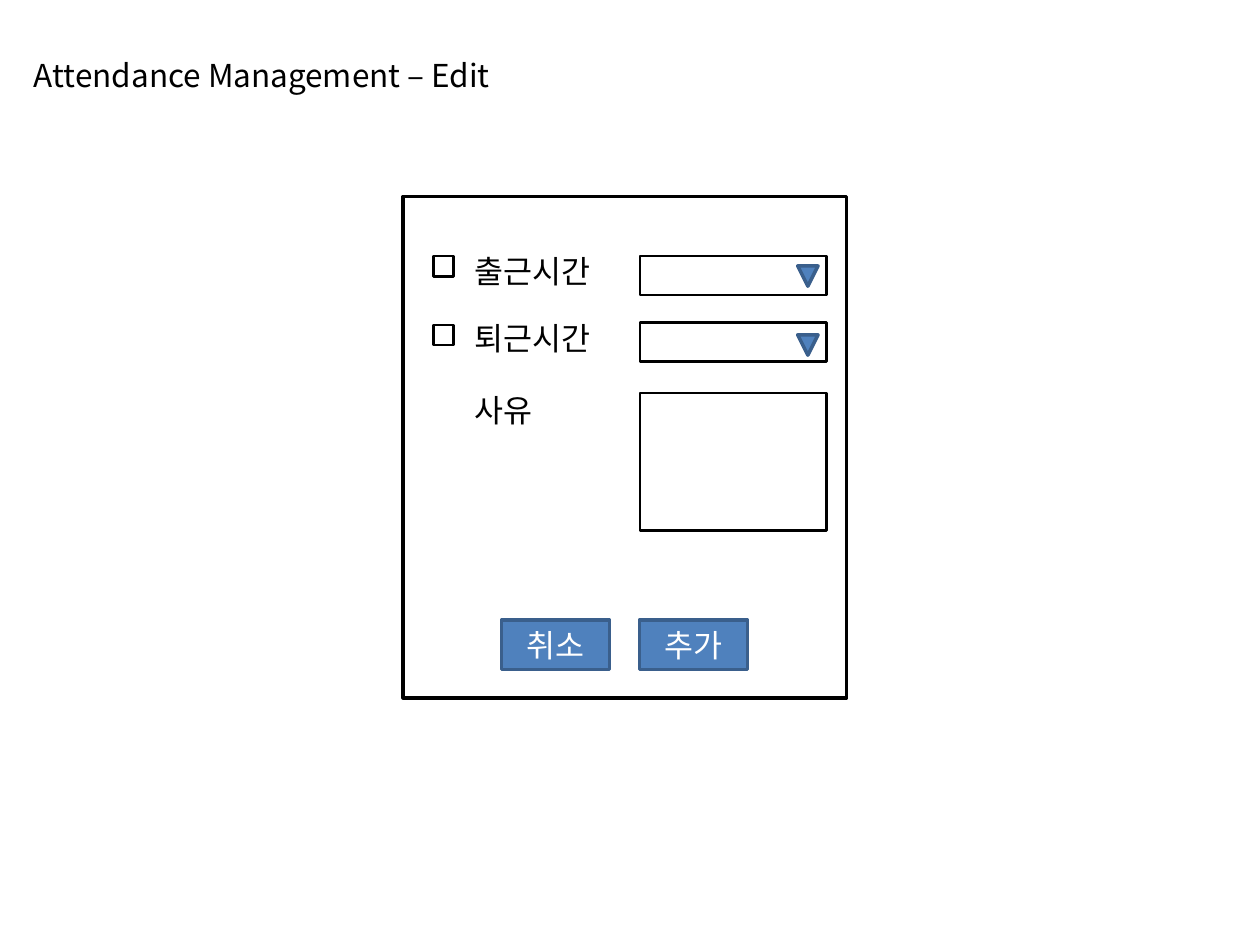
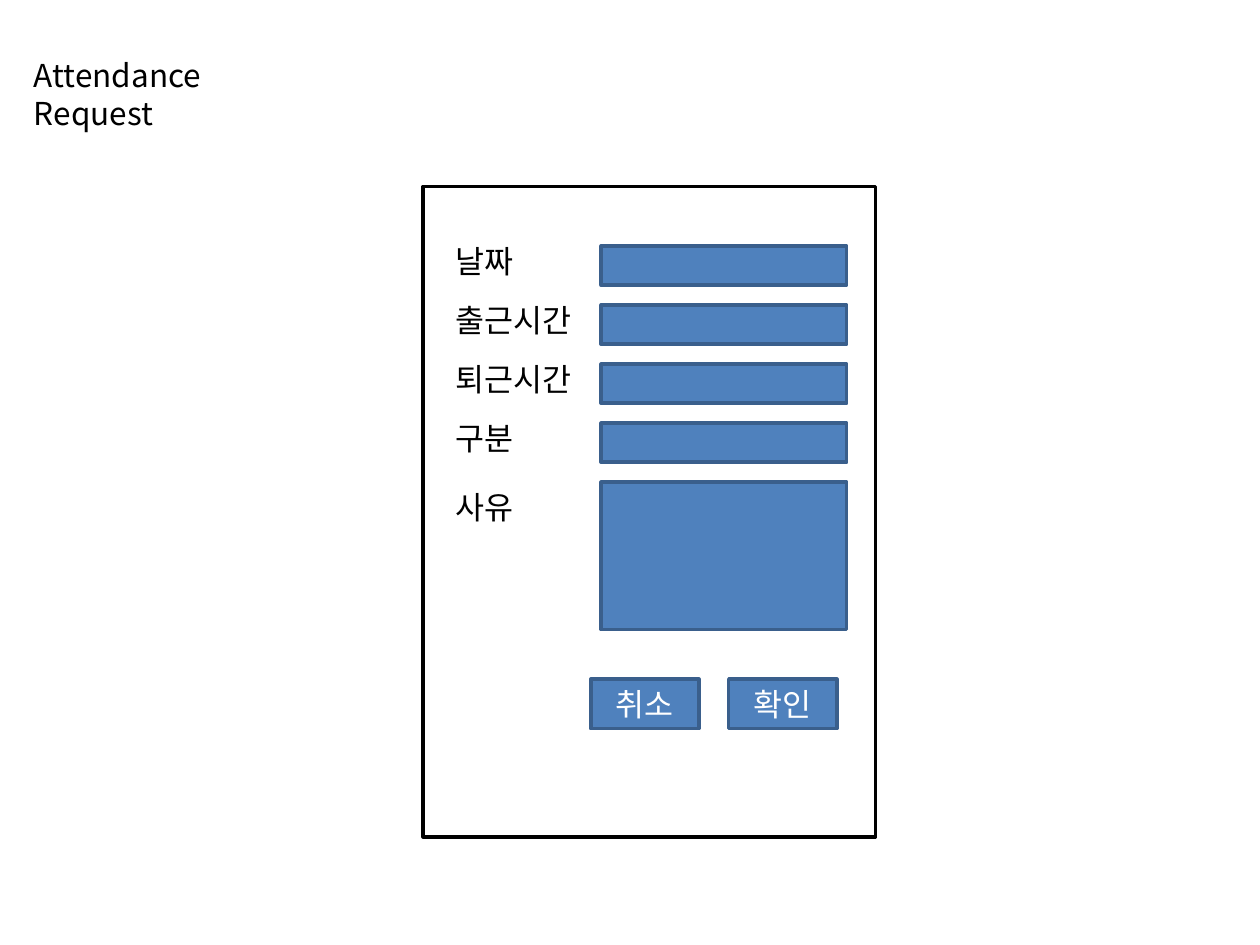
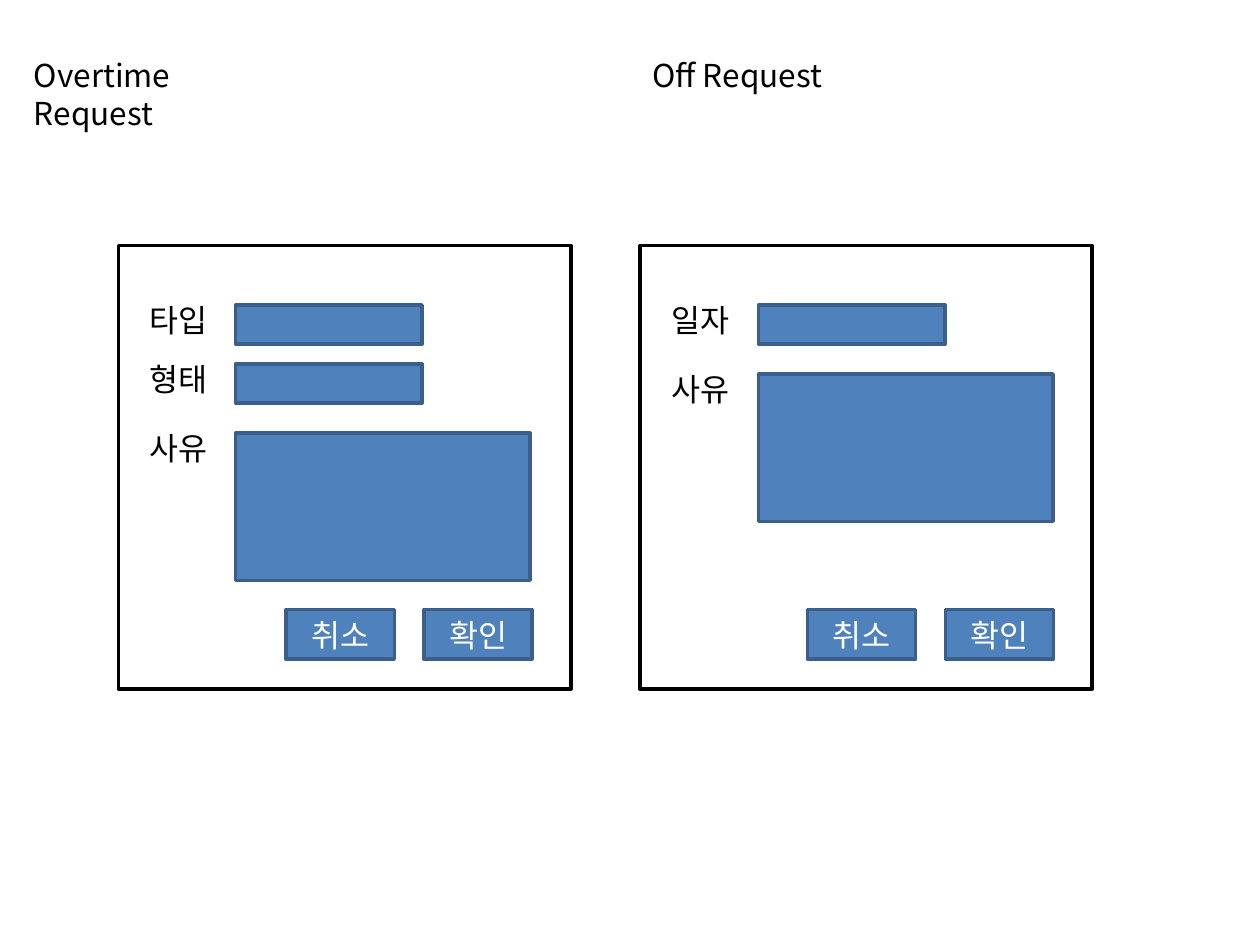
import pptx
import pptx.util
import pptx.dml.color
import pptx.enum.shapes
import pptx.enum.text
import lxml.etree
from pptx.oxml.ns import qn

FONT = "Noto Sans CJK KR"
BLACK, WHITE, BLUE, NAVY = "000000", "FFFFFF", "4F81BD", "3A5F8C"
SHAPE = pptx.enum.shapes.MSO_SHAPE
ALIGN = pptx.enum.text.PP_ALIGN
ANCHOR = pptx.enum.text.MSO_ANCHOR

LEAD = 1.2                  # panel top to first field
CELL, AREA = 0.79, 2.97     # heights of short and tall fields
MARK = 0.41                 # check boxes and arrows
BUTTON_W, BUTTON_H, PITCH = 2.18, 1, 2.78

# All lengths are in cm. A row holds: label, field width, field height,
# gap above, rise of the label over the field.
EDIT = dict(
    title=("Attendance Management – Edit", 0.43, 9.8),
    panel=(8.13, 3.96, 8.94, 10.11),
    label_x=9.32, field_x=12.9, plain=True,
    rows=[("출근시간", 3.76, CELL, 0, 0.2),
          ("퇴근시간", 3.76, CELL, 0.55, 0.2),
          ("사유", 3.76, 2.77, 0.63, 0.17)],
    marks=[0, 0.05], check_x=8.74, arrow_x=16.08,
    buttons=(["취소", "추가"], 10.11, 12.5))

ATTEND = dict(
    title=("Attendance Request", 0.43, 6.3),
    panel=(8.53, 3.76, 9.12, 13.11),
    label_x=8.94, field_x=12.12,
    rows=[("날짜", 4.95, CELL, 0, 0.2),
          ("출근시간", 4.95, CELL, 0.4, 0.2),
          ("퇴근시간", 4.95, CELL, 0.4, 0.2),
          ("구분", 4.95, CELL, 0.4, 0.2),
          ("사유", 4.95, AREA, 0.4, 0)],
    buttons=(["취소", "확인"], 11.91, 13.69))

OVERTIME = dict(
    title=("Overtime Request", 0.43, 5.7),
    panel=(2.39, 4.95, 9.12, 8.94),
    label_x=2.77, field_x=4.75,
    rows=[("타입", 3.76, CELL, 0, 0.2),
          ("형태", 3.76, CELL, 0.4, 0.2),
          ("사유", 5.94, AREA, 0.6, 0.2)],
    buttons=(["취소", "확인"], 5.77, 12.29))

OFF = dict(
    title=("Off Request", 12.9, 4),
    panel=(12.9, 4.95, 9.12, 8.94),
    label_x=13.28, field_x=15.29,
    rows=[("일자", 3.76, CELL, 0, 0.2),
          ("사유", 5.94, AREA, 0.6, 0.2)],
    buttons=(["취소", "확인"], 16.28, 12.29))

SLIDES = [[EDIT], [ATTEND], [OVERTIME, OFF]]


def color(code):
    return pptx.dml.color.RGBColor.from_string(code)


def lengths(*values):
    return [pptx.util.Cm(value) for value in values]


def write(shape, text, ink=BLACK, align=ALIGN.LEFT, anchor=ANCHOR.TOP):
    frame = shape.text_frame
    frame.text = text
    frame.word_wrap = True
    frame.auto_size = pptx.enum.text.MSO_AUTO_SIZE.NONE
    frame.vertical_anchor = anchor
    para = frame.paragraphs[0]
    para.alignment = align
    run = para.runs[0]
    run.font.name = FONT
    run.font.size = pptx.util.Pt(18)
    run.font.color.rgb = color(ink)
    # Korean letters take the East Asian font
    lxml.etree.SubElement(run._r.rPr, qn("a:ea"), typeface=FONT)


def label(slide, text, x, y, width):
    write(slide.shapes.add_textbox(*lengths(x, y, width, 1.03)), text)


def draw(slide, box, fill=None, line=NAVY, weight=2, kind=SHAPE.RECTANGLE):
    shape = slide.shapes.add_shape(kind, *lengths(*box))
    shape.shadow.inherit = False
    if fill:
        shape.fill.solid()
        shape.fill.fore_color.rgb = color(fill)
    else:
        shape.fill.background()
    shape.line.color.rgb = color(line)
    shape.line.width = pptx.util.Pt(weight)
    return shape


def add_title(slide, text, x, width):
    """Use the title placeholder first, then a text box beside it."""
    title = slide.shapes.title
    if title.text_frame.text:
        label(slide, text, x, 1, width)
        return
    title.left, title.top, title.width, title.height = lengths(x, 1, width, 1.03)
    write(title, text)


def add_marks(slide, form, tops):
    for top, nudge in zip(tops, form["marks"]):
        draw(slide, (form["check_x"], top + nudge, MARK, MARK),
             line=BLACK, weight=1.5)
        arrow = draw(slide, (form["arrow_x"], top + 0.2 + nudge, MARK, MARK),
                     BLUE, kind=SHAPE.ISOSCELES_TRIANGLE)
        arrow.rotation = 180


def add_form(slide, form):
    add_title(slide, *form["title"])
    draw(slide, form["panel"], line=BLACK)
    style = (None, BLACK, 1.5) if form.get("plain") else (BLUE,)
    y = form["panel"][1] + LEAD
    tops = []
    for text, width, height, gap, rise in form["rows"]:
        y += gap
        tops.append(y)
        label(slide, text, form["label_x"], y - rise, 0.53 + 0.635 * len(text))
        draw(slide, (form["field_x"], y, width, height), *style)
        y += height
    if "marks" in form:
        add_marks(slide, form, tops)
    names, left, top = form["buttons"]
    for i, name in enumerate(names):
        button = draw(slide, (left + i * PITCH, top, BUTTON_W, BUTTON_H), BLUE)
        write(button, name, WHITE, ALIGN.CENTER, ANCHOR.MIDDLE)


def main():
    deck = pptx.Presentation()
    deck.slide_width, deck.slide_height = lengths(25.4, 19.05)
    for forms in SLIDES:
        slide = deck.slides.add_slide(deck.slide_layouts[5])
        for form in forms:
            add_form(slide, form)
    deck.save("out.pptx")


if __name__ == "__main__":
    main()
